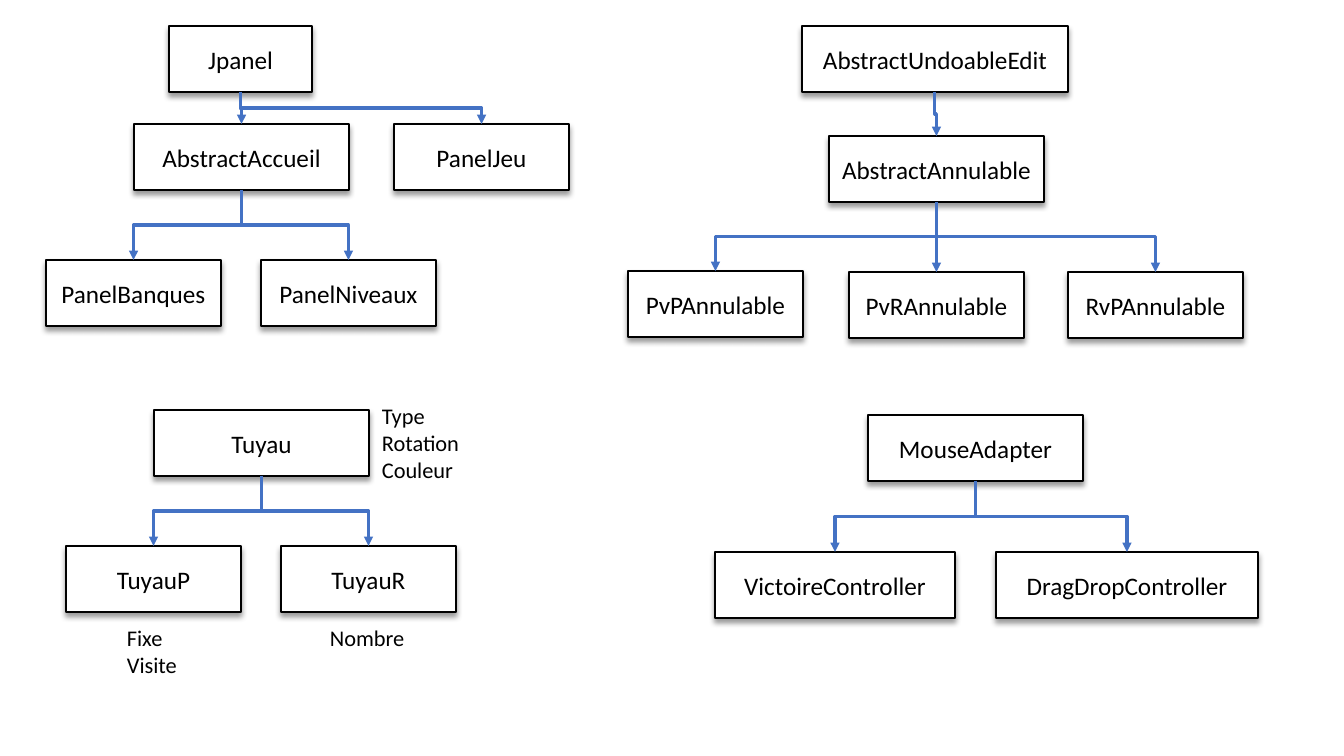
from lxml import etree
from pptx import Presentation
from pptx.dml.color import RGBColor
from pptx.enum.shapes import MSO_CONNECTOR, MSO_SHAPE
from pptx.enum.text import MSO_ANCHOR, PP_ALIGN
from pptx.oxml.ns import qn
from pptx.util import Emu, Pt

RECTANGLE = MSO_SHAPE.RECTANGLE
ELBOW = MSO_CONNECTOR.ELBOW
MIDDLE = MSO_ANCHOR.MIDDLE
CENTER, LEFT = PP_ALIGN.CENTER, PP_ALIGN.LEFT

# Content: class name, left, top, width in pixels
CLASS_HEIGHT = 66
CLASSES = [
    ("Jpanel", 169, 26, 143),
    ("AbstractAccueil", 134, 124, 215),
    ("PanelJeu", 394, 124, 175),
    ("PanelBanques", 46, 260, 175),
    ("PanelNiveaux", 261, 260, 175),
    ("AbstractUndoableEdit", 802, 26, 266),
    ("AbstractAnnulable", 829, 136, 215),
    ("PvPAnnulable", 628, 271, 175),
    ("PvRAnnulable", 849, 272, 175),
    ("RvPAnnulable", 1068, 272, 175),
    ("Tuyau", 154, 410, 215),
    ("TuyauP", 66, 546, 175),
    ("TuyauR", 281, 546, 175),
    ("MouseAdapter", 868, 415, 215),
    ("VictoireController", 715, 552, 240),
    ("DragDropController", 996, 552, 262),
]
CHILDREN = {
    "Jpanel": ["AbstractAccueil", "PanelJeu"],
    "AbstractAccueil": ["PanelBanques", "PanelNiveaux"],
    "AbstractUndoableEdit": ["AbstractAnnulable"],
    "AbstractAnnulable": ["PvPAnnulable", "PvRAnnulable", "RvPAnnulable"],
    "Tuyau": ["TuyauP", "TuyauR"],
    "MouseAdapter": ["VictoireController", "DragDropController"],
}
# Attribute lists: lines, left, top, width, height
ATTRIBUTES = [
    (["Type", "Rotation", "Couleur"], 372, 397, 125, 92),
    (["Fixe", "Visite"], 117, 619, 75, 64),
    (["Nombre"], 320, 619, 99, 37),
]
BLACK, WHITE, BLUE = "000000", "FFFFFF", "4472C4"


def px(pixels):
    return Emu(round(pixels * 914400 / 100.8))


def color(hex_value):
    return RGBColor.from_string(hex_value)


def write(shape, lines, size, alignment):
    frame = shape.text_frame
    frame.word_wrap = True
    frame.text = "\n".join(lines)
    for paragraph in frame.paragraphs:
        paragraph.alignment = alignment
        paragraph.font.name = "Calibri"
        paragraph.font.size = Pt(size)
        paragraph.font.color.rgb = color(BLACK)


def add_drop_shadow(shape):
    shape.shadow.inherit = False
    effects = shape.element.spPr.find(qn("a:effectLst"))
    shadow = etree.SubElement(effects, qn("a:outerShdw"), blurRad=str(Pt(4)),
                              dist=str(Pt(3)), dir="5400000", rotWithShape="0")
    tint = etree.SubElement(shadow, qn("a:srgbClr"), val=BLACK)
    etree.SubElement(tint, qn("a:alpha"), val="40000")


def add_class(slide, name, left, top, width):
    shape = slide.shapes.add_shape(
        RECTANGLE, px(left), px(top), px(width), px(CLASS_HEIGHT))
    shape.fill.solid()
    shape.fill.fore_color.rgb = color(WHITE)
    shape.line.color.rgb = color(BLACK)
    shape.line.width = Pt(1)
    add_drop_shadow(shape)
    write(shape, [name], 18, CENTER)
    shape.text_frame.vertical_anchor = MIDDLE
    # Long names reach close to the border
    shape.text_frame.margin_left = shape.text_frame.margin_right = px(5)
    return shape


def add_inheritance(slide, parent, child):
    link = slide.shapes.add_connector(ELBOW, 0, 0, 0, 0)
    link.begin_connect(parent, 2)
    link.end_connect(child, 0)

    # Turn the elbow a quarter so that it leaves and arrives vertically
    start_x = parent.left + parent.width // 2
    end_x = child.left + child.width // 2
    start_y = parent.top + parent.height
    drop, spread = child.top - start_y, abs(end_x - start_x)
    link.left = Emu((start_x + end_x - drop) // 2)
    link.top = Emu((start_y + child.top - spread) // 2)
    link.width, link.height = Emu(drop), Emu(spread)
    goes_right = end_x > start_x
    frame = link.element.spPr.find(qn("a:xfrm"))
    frame.set("rot", "16200000" if goes_right else "5400000")
    frame.set("flipH", "1" if goes_right else "0")

    link.line.color.rgb = color(BLUE)
    link.line.width = Pt(2.25)
    line = link.element.spPr.find(qn("a:ln"))
    etree.SubElement(line, qn("a:tailEnd"), type="triangle")
    etree.SubElement(link.element.spPr, qn("a:effectLst"))


presentation = Presentation()
presentation.slide_width, presentation.slide_height = px(1344), px(756)
slide = presentation.slides.add_slide(presentation.slide_layouts[6])

# Class boxes
boxes = {name: add_class(slide, name, *place) for name, *place in CLASSES}

# Inheritance arrows
for parent, children in CHILDREN.items():
    for child in children:
        add_inheritance(slide, boxes[parent], boxes[child])

# Attribute lists
for lines, *place in ATTRIBUTES:
    box = slide.shapes.add_textbox(*map(px, place))
    write(box, lines, 16, LEFT)

presentation.save("out.pptx")
